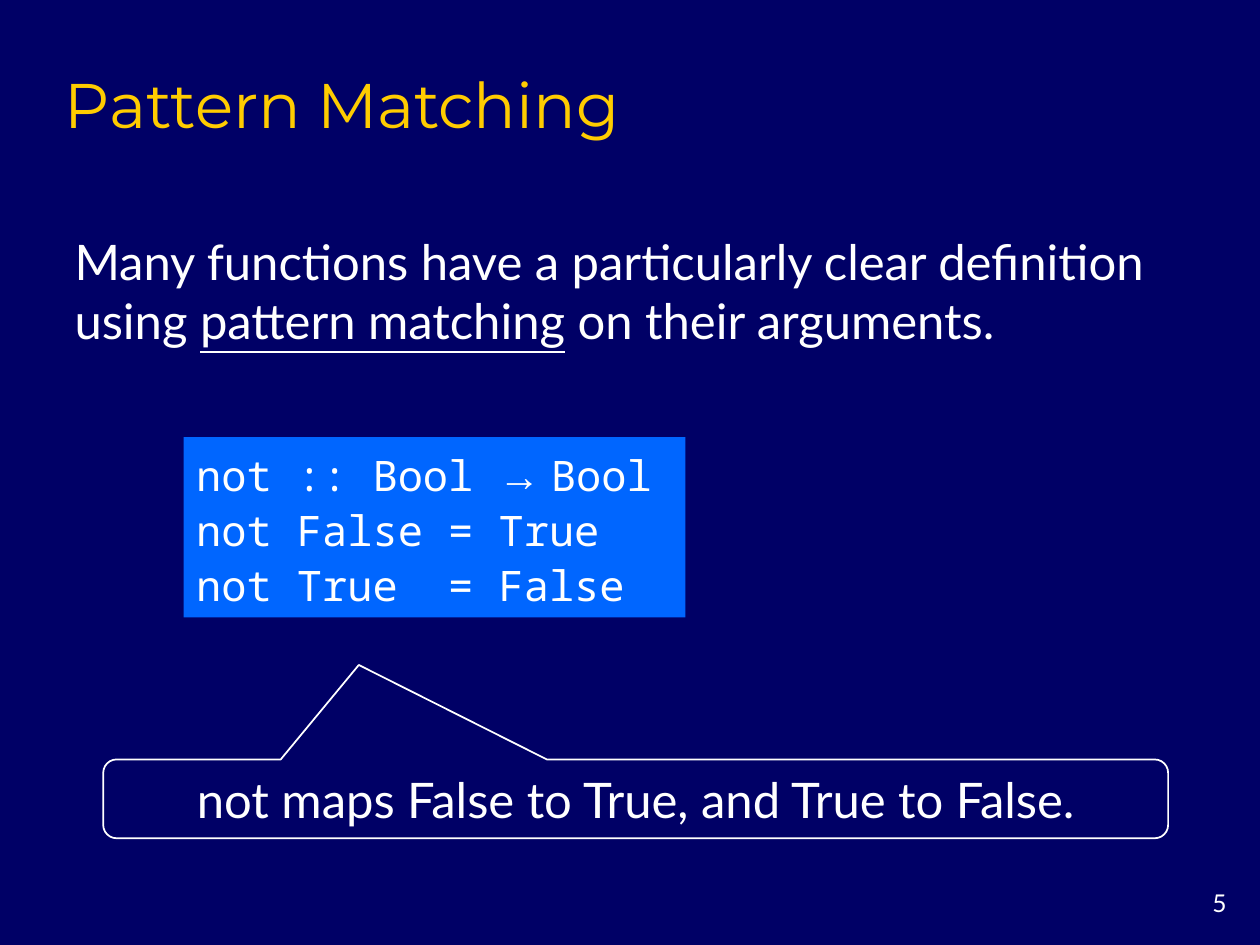
from dataclasses import dataclass

from pptx import Presentation
from pptx.dml.color import RGBColor
from pptx.enum.shapes import MSO_SHAPE
from pptx.enum.text import MSO_ANCHOR, PP_ALIGN
from pptx.util import Pt

RECT = MSO_SHAPE.RECTANGLE
CALLOUT = MSO_SHAPE.ROUNDED_RECTANGULAR_CALLOUT
TOP, MIDDLE, BOTTOM = MSO_ANCHOR.TOP, MSO_ANCHOR.MIDDLE, MSO_ANCHOR.BOTTOM
LEFT, CENTER, RIGHT = PP_ALIGN.LEFT, PP_ALIGN.CENTER, PP_ALIGN.RIGHT


@dataclass(frozen=True)
class Theme:
    back: str = "000066"
    head: str = "FFCC00"
    ink: str = "FFFFFF"
    panel: str = "0066FF"
    title: int = 36
    body: int = 28
    code: int = 24
    small: int = 14
    sans: str = "Lato"
    display: str = "Montserrat"
    mono: str = "Noto Sans Mono"
    serif: str = "Times New Roman"


def rgb(code):
    return RGBColor.from_string(code)


def write(frame, lines, *, size, color, font, align=LEFT, anchor=MIDDLE,
          wrap=True, space=None):
    """Fill a frame with lines of plain strings or (text, format) pairs."""
    frame.word_wrap = wrap
    frame.vertical_anchor = anchor
    for i, line in enumerate(lines):
        par = frame.paragraphs[0] if i == 0 else frame.add_paragraph()
        par.alignment = align
        if space:
            par.line_spacing = space
        for part in line:
            text, style = (part, {}) if isinstance(part, str) else part
            run = par.add_run()
            run.text = text
            run.font.size = Pt(size)
            run.font.color.rgb = rgb(color)
            run.font.name = style.get("font", font)
            if style.get("under"):
                run.font.underline = True


class Deck:
    def __init__(self, theme):
        self.theme = theme
        self.show = Presentation()
        self.show.slide_width, self.show.slide_height = Pt(720), Pt(540)
        self.slide = self.show.slides.add_slide(self.show.slide_layouts[6])
        fill = self.slide.background.fill
        fill.solid()
        fill.fore_color.rgb = rgb(theme.back)

    def label(self, box, lines, **style):
        shape = self.slide.shapes.add_textbox(*map(Pt, box))
        write(shape.text_frame, lines, **style)

    def shape(self, kind, box, lines, fill=None, line=None, adjust=(), **style):
        shape = self.slide.shapes.add_shape(kind, *map(Pt, box))
        shape.shadow.inherit = False
        for i, value in enumerate(adjust):
            shape.adjustments[i] = value
        if fill:
            shape.fill.solid()
            shape.fill.fore_color.rgb = rgb(fill)
        else:
            shape.fill.background()
        if line:
            shape.line.color.rgb = rgb(line)
            shape.line.width = Pt(1)
        else:
            shape.line.fill.background()
        write(shape.text_frame, lines, **style)


def main():
    theme = Theme()
    deck = Deck(theme)
    plain = {"color": theme.ink, "font": theme.sans}
    deck.label((660, 504, 48, 24), [["5"]],
               size=theme.small, align=RIGHT, anchor=TOP, **plain)
    deck.label((30, 30, 612, 54), [["Pattern Matching"]], size=theme.title,
               color=theme.head, font=theme.display, anchor=BOTTOM)
    deck.label((35.5, 129, 650, 74), [[
        "Many functions have a particularly clear definition using ",
        ("pattern matching", {"under": True}),
        " on their arguments.",
    ]], size=theme.body, **plain)
    deck.shape(RECT, (105, 249.75, 286.75, 103), [
        ["not :: Bool ", ("→ ", {"font": theme.serif}), "Bool"],
        ["not False = True"],
        ["not True  = False"],
    ], fill=theme.panel, size=theme.code, color=theme.ink, font=theme.mono,
        wrap=False, space=1.1)
    deck.shape(CALLOUT, (59, 434, 608.5, 45),
               [["not maps False to True, and True to False."]],
               line=theme.ink, adjust=(-0.26, -1.7, 0.17),
               size=theme.body, align=CENTER, **plain)
    deck.show.save("out.pptx")


if __name__ == "__main__":
    main()
